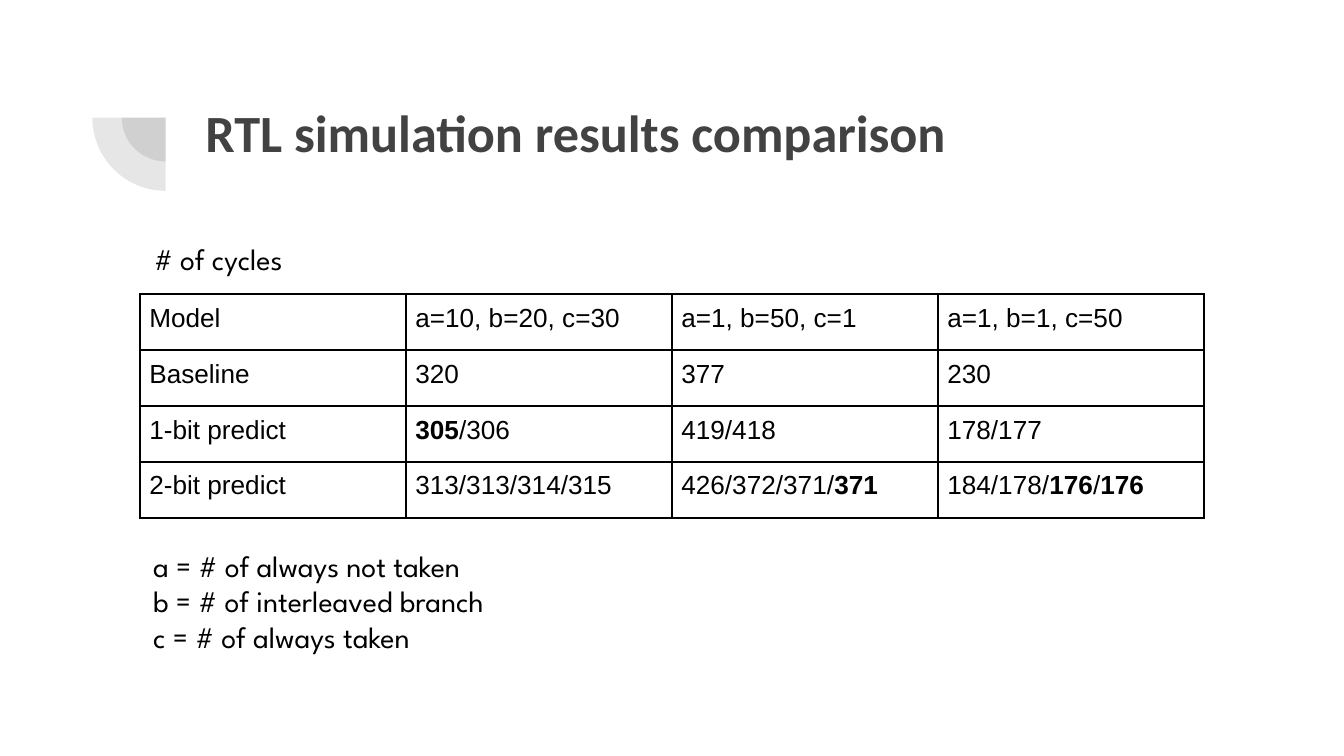
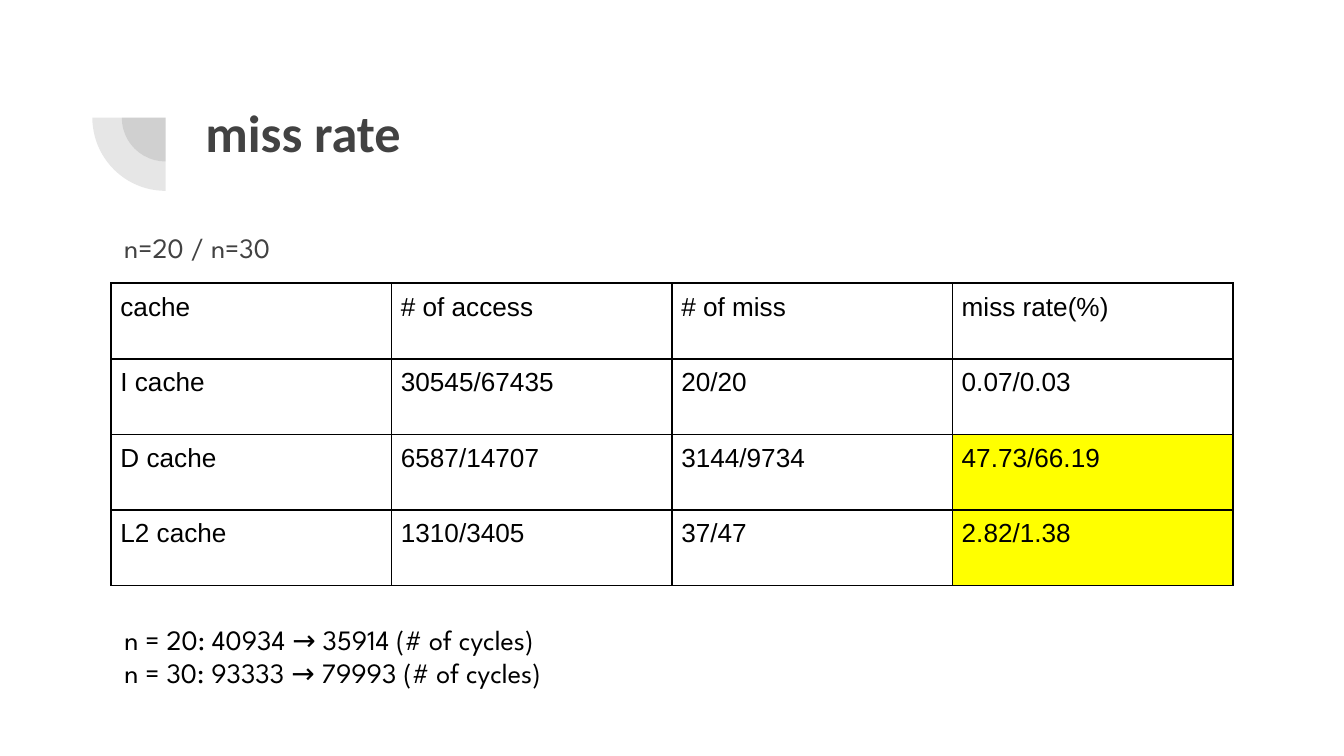
import pptx
import pptx.dml.color
import pptx.enum.shapes
import pptx.enum.text
import pptx.oxml
import pptx.oxml.ns
import pptx.util
from lxml import etree

Pt = pptx.util.Pt
RGBColor = pptx.dml.color.RGBColor
qn = pptx.oxml.ns.qn

GREY = RGBColor(0x42, 0x42, 0x42)
BLACK = RGBColor(0x00, 0x00, 0x00)
YELLOW = RGBColor(0xFF, 0xFF, 0x00)

# Text formats
TITLE = {"name": "Calibri", "size": Pt(28), "bold": True, "color": GREY}
CELL = {"name": "Arial", "size": Pt(14), "bold": False, "color": BLACK}
LARGE = {"name": "League Spartan", "size": Pt(16), "bold": False, "color": BLACK}
NOTE = LARGE | {"size": Pt(15)}
BODY = NOTE | {"color": GREY}
BODY_SPACING = {"line_spacing": 1.15, "space_after": Pt(16)}

# Content: asterisks enclose bold text; boxes are left, top, width, height
SLIDES = [
    {
        "title": "RTL simulation results comparison",
        "table": {
            "left": 75, "top": 157.5, "column": 142.5, "row": 30,
            "cells": [
                ["Model", "a=10, b=20, c=30", "a=1, b=50, c=1", "a=1, b=1, c=50"],
                ["Baseline", "320", "377", "230"],
                ["1-bit predict", "*305*/306", "419/418", "178/177"],
                ["2-bit predict", "313/313/314/315", "426/372/371/*371*",
                 "184/178/*176*/*176*"],
            ],
            "highlights": [],
        },
        "texts": [
            ((75, 286, 570, 78.5), LARGE, {},
             ["a = # of always not taken", "b = # of interleaved branch",
              "c = # of always taken"]),
            ((75.5, 121.75, 173, 28), LARGE, {}, ["# of cycles"]),
        ],
    },
    {
        "title": "miss rate",
        "table": {
            "left": 59.5, "top": 151.75, "column": 150.25, "row": 40.5,
            "cells": [
                ["cache", "# of access", "# of miss", "miss rate(%)"],
                ["I cache", "30545/67435", "20/20", "0.07/0.03"],
                ["D cache", "6587/14707", "3144/9734", "47.73/66.19"],
                ["L2 cache", "1310/3405", "37/47", "2.82/1.38"],
            ],
            "highlights": [(2, 3), (3, 3)],
        },
        "texts": [
            ((59.5, 113.75, 554, 38), BODY, BODY_SPACING, ["n=20 / n=30"]),
            ((59.5, 326.25, 608, 60), NOTE, {},
             ["n = 20: 40934 → 35914 (# of cycles)",
              "n = 30: 93333 → 79993 (# of cycles)"]),
        ],
    },
]

# Shared geometry
TITLE_BOX = (103, 46.75, 554, 78.5)
PIE_CENTER = (88.75, 63)
PIE_SIZES = (47, 78.5)
TEXT_INSET = 7.2
CELL_INSET = 5


def set_all(target, values):
    for name, value in values.items():
        setattr(target, name, value)


def write(para, text, style):
    for index, part in enumerate(text.split("*")):
        if part:
            span = para.add_run()
            span.text = part
            set_all(span.font, {k: v for k, v in style.items() if k != "color"})
            span.font.color.rgb = style["color"]
            if index % 2:
                span.font.bold = True


def add_text(page, box, style, spacing, lines):
    frame = page.shapes.add_textbox(*map(Pt, box)).text_frame
    inset = Pt(TEXT_INSET)
    set_all(frame, {"word_wrap": True, "margin_left": inset, "margin_right": inset,
                    "margin_top": inset, "margin_bottom": inset,
                    "vertical_anchor": pptx.enum.text.MSO_ANCHOR.TOP})
    for index, line in enumerate(lines):
        para = frame.add_paragraph() if index else frame.paragraphs[0]
        set_all(para, spacing)
        write(para, line, style)


def add_quarter_rings(page):
    for size in PIE_SIZES:
        left, top = (center - size / 2 for center in PIE_CENTER)
        pie = page.shapes.add_shape(pptx.enum.shapes.MSO_SHAPE.PIE,
                                    Pt(left), Pt(top), Pt(size), Pt(size))
        pie.adjustments[0], pie.adjustments[1] = 108, 162
        pie.rotation = 270
        pie.shadow.inherit = False
        pie.line.fill.background()
        pie.fill.solid()
        pie.fill.fore_color.rgb = GREY
        color = pie.fill._xPr.find(".//" + qn("a:srgbClr"))
        etree.SubElement(color, qn("a:alpha"), val="13000")


def add_borders(cell):
    properties = cell._tc.get_or_add_tcPr()
    for index, side in enumerate(("lnL", "lnR", "lnT", "lnB")):
        line = etree.Element(qn("a:" + side), w=str(Pt(1)))
        fill = etree.SubElement(line, qn("a:solidFill"))
        etree.SubElement(fill, qn("a:srgbClr"), val=str(BLACK))
        properties.insert(index, line)


def add_table(page, left, top, column, row, cells, highlights):
    rows, columns = len(cells), len(cells[0])
    table = page.shapes.add_table(rows, columns, Pt(left), Pt(top),
                                  Pt(column * columns), Pt(row * rows)).table
    set_all(table, {"first_row": False, "horz_banding": False})
    for line in table.rows:
        line.height = Pt(row)
    for line in table.columns:
        line.width = Pt(column)
    inset = Pt(CELL_INSET)
    for r, texts in enumerate(cells):
        for c, text in enumerate(texts):
            cell = table.cell(r, c)
            set_all(cell, {"margin_left": inset, "margin_right": inset,
                           "margin_top": inset, "margin_bottom": inset})
            if (r, c) in highlights:
                cell.fill.solid()
                cell.fill.fore_color.rgb = YELLOW
            else:
                cell.fill.background()
            add_borders(cell)
            write(cell.text_frame.paragraphs[0], text, CELL)


def main():
    deck = pptx.Presentation()
    set_all(deck, {"slide_width": Pt(720), "slide_height": Pt(405)})
    for content in SLIDES:
        page = deck.slides.add_slide(deck.slide_layouts[6])
        add_quarter_rings(page)
        add_text(page, TITLE_BOX, TITLE, {}, [content["title"]])
        add_table(page, **content["table"])
        for text in content["texts"]:
            add_text(page, *text)
    deck.save("out.pptx")


if __name__ == "__main__":
    main()
